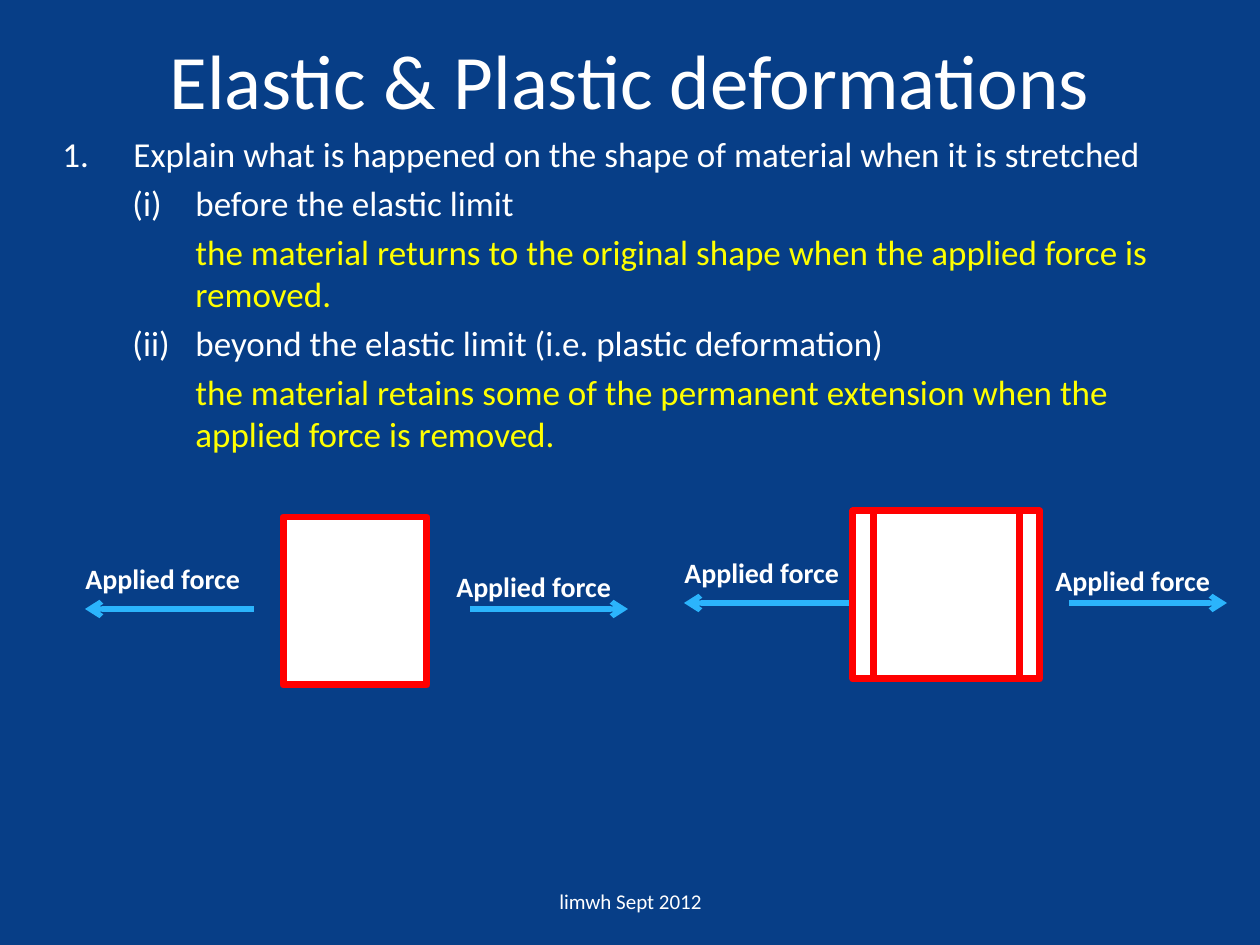
import pptx
import pptx.dml.color
import pptx.enum.shapes
import pptx.enum.text
import pptx.oxml.ns
import pptx.util
import lxml.etree

SCALE = 914400 / 126
WHITE, YELLOW, RED, SKY, NAVY = "FFFFFF", "FFFF00", "FF0000", "2BB4FC", "073E87"
ALIGN = pptx.enum.text.PP_ALIGN
ANCHOR = pptx.enum.text.MSO_ANCHOR


def px(length):
    return pptx.util.Emu(round(length * SCALE))


def color(value):
    return pptx.dml.color.RGBColor.from_string(value)


def add_xml(parent, tag, **attributes):
    return lxml.etree.SubElement(parent, pptx.oxml.ns.qn(tag), attributes)


class Deck:
    font = "Calibri"

    def __init__(self, width, height):
        self.presentation = pptx.Presentation()
        self.presentation.slide_width = px(width)
        self.presentation.slide_height = px(height)
        self.slide = self.presentation.slides.add_slide(self.presentation.slide_layouts[6])
        self.slide.background.fill.solid()
        self.slide.background.fill.fore_color.rgb = color(NAVY)

    def frame(self, left, top, width, height, anchor=ANCHOR.TOP, wrap=True):
        box = self.slide.shapes.add_textbox(px(left), px(top), px(width), px(height))
        box.text_frame.word_wrap = wrap
        box.text_frame.vertical_anchor = anchor
        return box.text_frame

    def run(self, paragraph, text, size, ink=WHITE, bold=False):
        run = paragraph.add_run()
        run.text = text
        run.font.name = self.font
        run.font.size = pptx.util.Pt(size)
        run.font.bold = bold
        run.font.color.rgb = color(ink)

    def centred(self, text, size, *bounds):
        paragraph = self.frame(*bounds, anchor=ANCHOR.MIDDLE).paragraphs[0]
        paragraph.alignment = ALIGN.CENTER
        self.run(paragraph, text, size)

    def outline(self, items, *bounds):
        frame = self.frame(*bounds)
        for index, (text, level, margin, hanging, numbering, start) in enumerate(items):
            paragraph = frame.paragraphs[0] if index == 0 else frame.add_paragraph()
            paragraph.level = level
            paragraph.space_before = pptx.util.Pt(4)
            properties = paragraph._p.get_or_add_pPr()
            properties.set("marL", str(px(margin)))
            properties.set("indent", str(-px(hanging)))
            if numbering:
                add_xml(properties, "a:buFont", typeface=self.font)
                add_xml(properties, "a:buAutoNum", type=numbering, startAt=str(start))
            else:
                add_xml(properties, "a:buNone")
            self.run(paragraph, text, 20, WHITE if numbering else YELLOW)

    def label(self, text, *bounds):
        frame = self.frame(*bounds, wrap=False)
        frame.auto_size = pptx.enum.text.MSO_AUTO_SIZE.SHAPE_TO_FIT_TEXT
        self.run(frame.paragraphs[0], text, 16, bold=True)

    def arrow(self, start, end, y):
        arrow = self.slide.shapes.add_connector(
            pptx.enum.shapes.MSO_CONNECTOR.STRAIGHT, px(start), px(y), px(end), px(y))
        arrow.line.color.rgb = color(SKY)
        arrow.line.width = pptx.util.Pt(3)
        add_xml(arrow.line._get_or_add_ln(), "a:tailEnd", type="arrow")
        add_xml(arrow._element.spPr, "a:effectLst")

    def block(self, left, top, width, height):
        block = self.slide.shapes.add_shape(
            pptx.enum.shapes.MSO_SHAPE.RECTANGLE, px(left), px(top), px(width), px(height))
        block.shadow.inherit = False
        block.fill.solid()
        block.fill.fore_color.rgb = color(WHITE)
        block.line.color.rgb = color(RED)
        block.line.width = pptx.util.Pt(4)

    def stretching(self, left, top, blocks):
        for start, end, label_left, label_top in ((181, 12, 0, 0), (397, 555, 371, 8)):
            self.arrow(left + start, left + end, top + 54)
            self.label("Applied force", left + label_left, top + label_top, 183, 47)
        for block_left, width in blocks:
            self.block(left + block_left, top - 38, width, 168)


def main():
    deck = Deck(1260, 945)
    deck.centred("Elastic & Plastic deformations", 44, 63, 0, 1134, 158)
    answer = (1, 141, 0, None, 1)
    deck.outline([
        ("Explain what is happened on the shape of material when it is stretched",
         0, 79, 71, "arabicPeriod", 1),
        ("before the elastic limit", 1, 141, 63, "romanLcParenBoth", 1),
        ("the material returns to the original shape when the applied force is removed.",
         *answer),
        ("beyond the elastic limit (i.e. plastic deformation)",
         1, 141, 63, "romanLcParenBoth", 2),
        ("the material retains some of the permanent extension when the applied force is removed.",
         *answer),
    ], 42, 126, 1176, 368)
    deck.stretching(73, 555, [(210, 144)])
    deck.stretching(672, 549, [(181, 187), (201, 147)])
    deck.centred("limwh Sept 2012", 12, 431, 876, 399, 50)
    deck.presentation.save("out.pptx")


if __name__ == "__main__":
    main()
